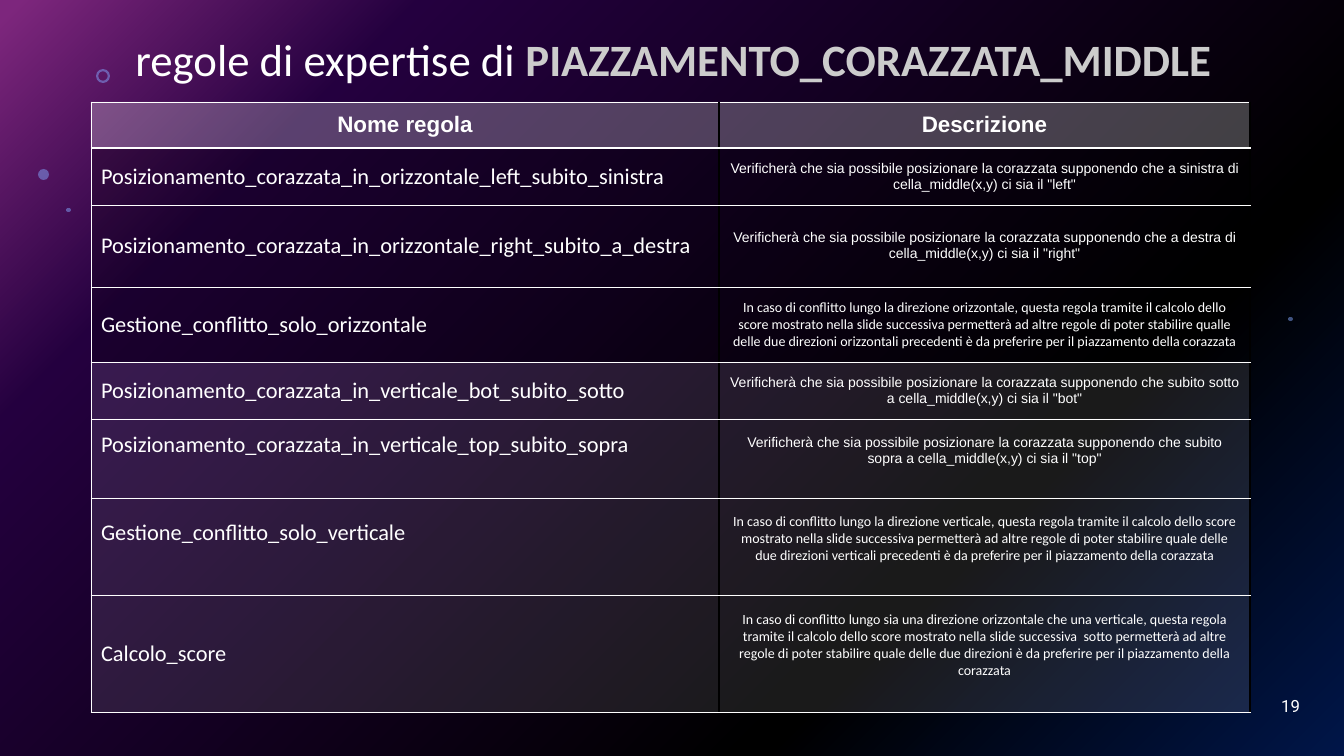
import pptx
import pptx.util
import pptx.dml.color
import pptx.enum.shapes
import pptx.enum.text
import pptx.oxml
import pptx.oxml.ns

SCALE = 914400 / 100.8  # EMU in one px
HUES = {"white": "FFFFFF", "black": "000000", "gray": "CCCCCC", "dot": "83A7FD",
        "blue": "022D94", "plum": "4A027F", "pink": "FC4EFB"}
NS = pptx.oxml.ns.nsdecls("a", "p")
KIND = pptx.enum.shapes.MSO_SHAPE
ALIGN = pptx.enum.text.PP_ALIGN
MID = pptx.enum.text.MSO_ANCHOR.MIDDLE


def px(*nums):
    return [pptx.util.Emu(round(n * SCALE)) for n in nums]


def put(par, text, size, face, hue, bold=False):
    run = par.add_run()
    run.text = text
    run.font.size = pptx.util.Pt(size)
    run.font.name = face
    run.font.bold = bold
    run.font.color.rgb = pptx.dml.color.RGBColor.from_string(HUES[hue])


deck = pptx.Presentation()
deck.slide_width, deck.slide_height = px(1344, 756)
slide = deck.slides.add_slide(deck.slide_layouts[5])

# Background gradient, spreading from the bottom right corner
stops = "".join(
    f'<a:gs pos="{pos * 1000}"><a:srgbClr val="{HUES[hue]}"/></a:gs>'
    for pos, hue in [(0, "blue"), (28, "black"), (80, "plum"), (99, "pink")])
back = pptx.oxml.parse_xml(
    f'<p:bg {NS}><p:bgPr><a:gradFill rotWithShape="1"><a:gsLst>{stops}</a:gsLst>'
    '<a:path path="circle"><a:fillToRect l="100000" t="100000"/></a:path>'
    '</a:gradFill><a:effectLst/></p:bgPr></p:bg>')
slide.element.cSld.insert(0, back)

# Dark veil, ring and dots: kind, left, top, width, height, hue, opacity
decor = [
    (KIND.RECTANGLE, 0, 0, 1344, 756, "black", 50),
    (KIND.DONUT, 96, 69, 14, 14, "dot", 49),
    (KIND.OVAL, 38, 169, 11, 11, "dot", 49),
    (KIND.OVAL, 66, 208, 5, 4, "dot", 49),
    (KIND.OVAL, 1288, 317, 5, 4, "dot", 49),
]
for spot, (kind, *box, hue, alpha) in enumerate(decor):
    shape = slide.shapes.add_shape(kind, *px(*box))
    shape.shadow.inherit = False
    shape.line.fill.background()
    shape.fill.solid()
    shape.fill.fore_color.rgb = pptx.dml.color.RGBColor.from_string(HUES[hue])
    tint = next(shape.element.spPr.iter(pptx.oxml.ns.qn("a:srgbClr")))
    tint.append(pptx.oxml.parse_xml(f'<a:alpha {NS} val="{alpha * 1000}"/>'))
    if kind == KIND.DONUT:
        shape.adjustments[0] = 0.16
    # Keep the decor behind the title
    slide.shapes.title.element.addprevious(shape.element)

# Title
title = slide.shapes.title
title.left, title.top, title.width, title.height = px(94, 29, 1159, 65)
frame = title.text_frame
frame.auto_size = pptx.enum.text.MSO_AUTO_SIZE.NONE
frame.word_wrap = True
frame.vertical_anchor = MID
par = frame.paragraphs[0]
par.alignment = ALIGN.CENTER
par.line_spacing = 0.9
put(par, "regole di expertise di ", 32, "Calibri", "white")
put(par, "PIAZZAMENTO_CORAZZATA_MIDDLE", 32, "Calibri", "gray", True)

# Slide number
frame = slide.shapes.add_textbox(*px(1008, 686, 302, 40)).text_frame
frame.word_wrap = True
frame.vertical_anchor = MID
par = frame.paragraphs[0]
par.alignment = ALIGN.RIGHT
put(par, "19", 12, "Roboto", "white")

# Rules: height, name, description, its font, extra room under each text
rules = [
    (46, "Nome regola", "Descrizione", "Arial", 0, 0),
    (57, "Posizionamento_corazzata_in_orizzontale_left_subito_sinistra",
     "Verificherà che sia possibile posizionare la corazzata supponendo che a "
     'sinistra di cella_middle(x,y) ci sia il "left"', "Arial", 0, 0),
    (82, "Posizionamento_corazzata_in_orizzontale_right_subito_a_destra",
     "Verificherà che sia possibile posizionare la corazzata supponendo che a "
     'destra di cella_middle(x,y) ci sia il "right"', "Arial", 0, 0),
    (75, "Gestione_conflitto_solo_orizzontale",
     "In caso di conflitto lungo la direzione orizzontale, questa regola tramite il "
     "calcolo dello score mostrato nella slide successiva permetterà ad altre regole "
     "di poter stabilire qualle delle due direzioni orizzontali precedenti è da "
     "preferire per il piazzamento della corazzata", "Calibri", 0, 0),
    (57, "Posizionamento_corazzata_in_verticale_bot_subito_sotto",
     "Verificherà che sia possibile posizionare la corazzata supponendo che subito "
     'sotto a cella_middle(x,y) ci sia il "bot"', "Arial", 0, 0),
    (79, "Posizionamento_corazzata_in_verticale_top_subito_sopra",
     "Verificherà che sia possibile posizionare la corazzata supponendo che subito "
     'sopra a cella_middle(x,y) ci sia il "top"', "Arial", 27, 16),
    (97, "Gestione_conflitto_solo_verticale",
     "In caso di conflitto lungo la direzione verticale, questa regola tramite il "
     "calcolo dello score mostrato nella slide successiva permetterà ad altre regole "
     "di poter stabilire quale delle due direzioni verticali precedenti è da "
     "preferire per il piazzamento della corazzata", "Calibri", 27, 16),
    (117, "Calcolo_score",
     "In caso di conflitto lungo sia una direzione orizzontale che una verticale, "
     "questa regola tramite il calcolo dello score mostrato nella slide successiva  "
     "sotto permetterà ad altre regole di poter stabilire quale delle due direzioni è "
     "da preferire per il piazzamento della corazzata", "Calibri", 0, 17),
]

# Table
grid = slide.shapes.add_table(len(rules), 2, *px(91, 102, 1159, 610)).table
grid.first_row = grid.horz_banding = False
for col, wide in zip(grid.columns, px(628, 531)):
    col.width = wide
for row, (tall, name, text, face, *rooms) in enumerate(rules):
    grid.rows[row].height = px(tall)[0]
    head = row == 0
    hue, alpha = ("white", 25) if head else ("black", 25) if row < 4 else ("white", 10)
    for col, words in enumerate((name, text)):
        cell = grid.cell(row, col)
        cell.vertical_anchor = MID
        cell.margin_bottom = px(5 + rooms[col])[0]
        par = cell.text_frame.paragraphs[0]
        par.alignment = ALIGN.CENTER if head or col else ALIGN.LEFT
        put(par, words, 16 if head or not col else 10,
            face if head or col else "Calibri", "white", head)

        # Clear fill
        cell.fill.solid()
        cell.fill.fore_color.rgb = pptx.dml.color.RGBColor.from_string(HUES[hue])
        props = cell._tc.tcPr
        tint = next(props.iter(pptx.oxml.ns.qn("a:srgbClr")))
        tint.append(pptx.oxml.parse_xml(f'<a:alpha {NS} val="{alpha * 1000}"/>'))

        # Borders: side, hue, width in points
        sides = [
            ("L", "black", 1) if col else ("L", "white", 0.5),
            ("R", "black", 1),
            ("T", "white", 1 if row == 1 else 0.5),
            ("B", "white", 1 if head else 0.5),
        ]
        for spot, (side, ink, size) in enumerate(sides):
            props.insert(spot, pptx.oxml.parse_xml(
                f'<a:ln{side} {NS} w="{pptx.util.Pt(size)}"><a:solidFill>'
                f'<a:srgbClr val="{HUES[ink]}"/></a:solidFill></a:ln{side}>'))

deck.save("out.pptx")
